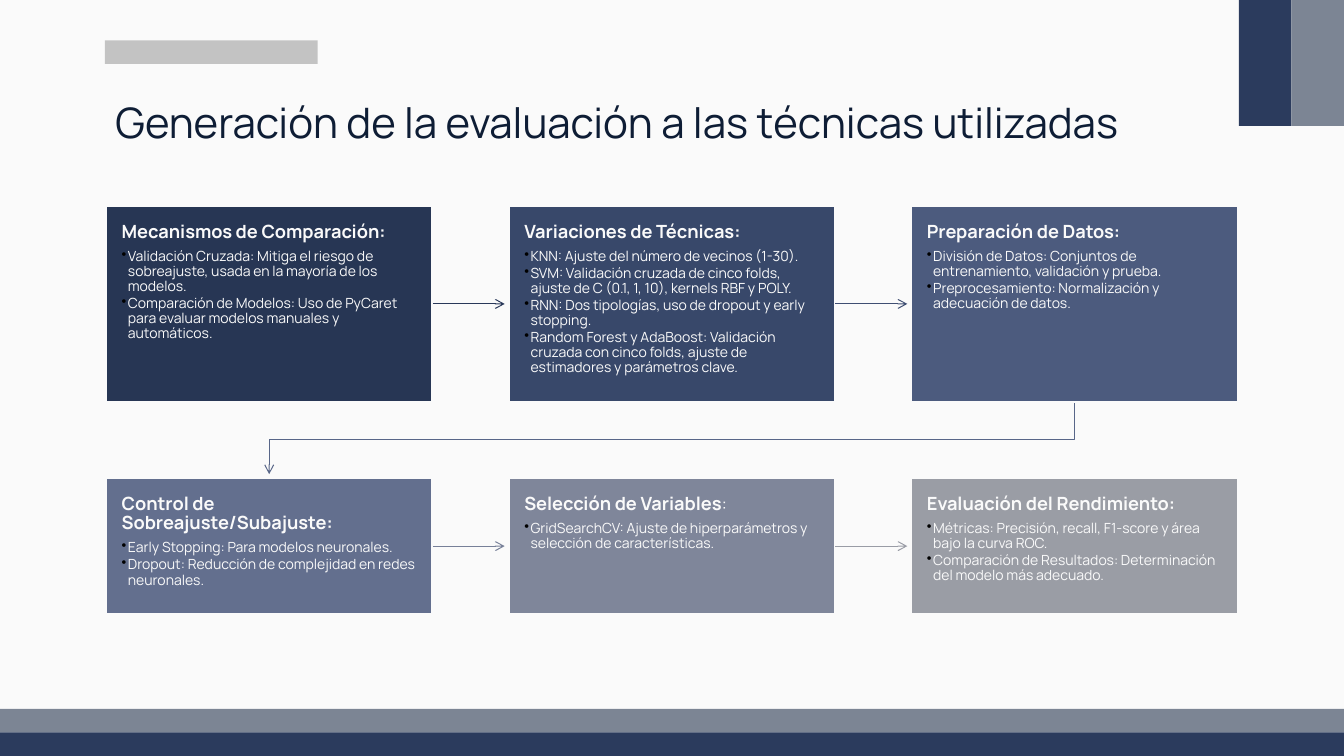
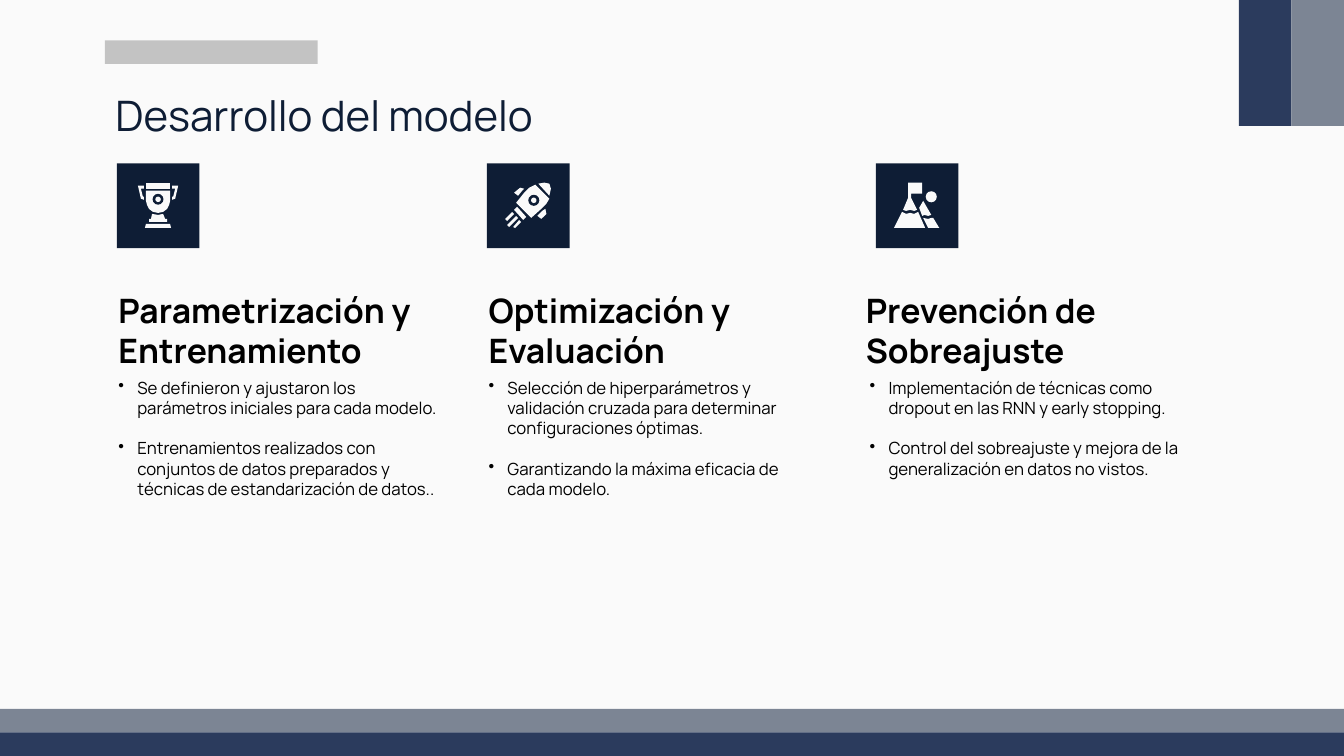
from pptx import Presentation
from pptx.dml.color import RGBColor
from pptx.enum.shapes import MSO_CONNECTOR, MSO_SHAPE
from pptx.enum.text import MSO_ANCHOR
from pptx.oxml.ns import qn
from pptx.util import Pt
from lxml.etree import SubElement

FONT = "Manrope"
NAVY, BLUE, STEEL = "0E1D35", "2B3B5D", "7C8594"
SILVER, PAPER, BLACK = "C3C3C3", "FAFAFA", "000000"
WIDE, HIGH = 960, 540
LEFT = 75.4
UNIT = 0.72  # points per icon grid step


def paint(part, color):
    """Give a fill, line or font its colour."""
    if hasattr(part, "solid"):
        part.solid()
        part.fore_color.rgb = RGBColor.from_string(color)
    else:
        part.color.rgb = RGBColor.from_string(color)


def block(slide, x, y, w, h, color, kind=MSO_SHAPE.RECTANGLE, edge=None):
    shape = slide.shapes.add_shape(kind, Pt(x), Pt(y), Pt(w), Pt(h))
    shape.shadow.inherit = False
    paint(shape.fill, color)
    if edge:
        paint(shape.line, edge)
        shape.line.width = Pt(2)
    else:
        shape.line.fill.background()
    return shape


def setup(frame, side, top, anchor=MSO_ANCHOR.TOP):
    """Set the insets, wrap and anchor of a text frame."""
    frame.word_wrap = True
    frame.margin_left = frame.margin_right = Pt(side)
    frame.margin_top = frame.margin_bottom = Pt(top)
    frame.vertical_anchor = anchor
    return frame


def panel(slide, x, y, w, h, inset, anchor=MSO_ANCHOR.TOP):
    box = slide.shapes.add_textbox(Pt(x), Pt(y), Pt(w), Pt(h))
    return setup(box.text_frame, inset, inset, anchor)


def write(frame, text, size=12, color=BLACK, bold=False, thin="",
          lead=None, after=0, hang=0):
    """Add a paragraph; hang sets a bullet with that indent."""
    first = frame.paragraphs[0]
    par = frame.add_paragraph() if first.runs else first
    par.alignment = 1
    par.space_after = Pt(after)
    if lead:
        par.line_spacing = lead
    for words, heavy in ((text, bold), (thin, False)):
        if words:
            run = par.add_run()
            run.text = words
            run.font.name, run.font.size = FONT, Pt(size)
            run.font.bold = heavy
            paint(run.font, color)
    if hang:
        props = par._p.get_or_add_pPr()
        props.set("marL", str(Pt(hang)))
        props.set("indent", str(-Pt(hang)))
        tint = SubElement(props, qn("a:buClr"))
        SubElement(tint, qn("a:srgbClr"), val=BLACK)
        SubElement(props, qn("a:buChar"), char="•")


def outline(slide, points, closed=True):
    start, *rest = [(Pt(x), Pt(y)) for x, y in points]
    draft = slide.shapes.build_freeform(*start)
    draft.add_line_segments(rest, close=closed)
    shape = draft.convert_to_shape()
    shape.shadow.inherit = False
    return shape


def arrow(line, color):
    """Style a line with an open arrowhead at its end."""
    paint(line, color)
    line.width = Pt(0.75)
    SubElement(line._get_or_add_ln(), qn("a:tailEnd"), type="arrow")


# Shared frame: background, bands, corner, title
def base(deck, title, anchor):
    slide = deck.slides.add_slide(deck.slide_layouts[6])
    paint(slide.background.fill, PAPER)
    block(slide, 75, 28.8, 152, 16.8, SILVER)
    for row, color in enumerate((STEEL, BLUE)):
        block(slide, 0, HIGH - 33.6 + 16.8 * row, WIDE, 16.8, color)
    for col, color in enumerate((BLUE, STEEL)):
        block(slide, WIDE - 75 + 37.5 * col, 0, 37.5, 90, color)
    frame = panel(slide, LEFT, 57, 809, 60.5, 7.2, anchor)
    write(frame, title, size=30, color=NAVY)
    return slide


# Slide 1: flow of six steps
STEPS = [
    ("273654", "Mecanismos de Comparación:", "", [
        "Validación Cruzada: Mitiga el riesgo de sobreajuste, usada en la "
        "mayoría de los modelos.",
        "Comparación de Modelos: Uso de PyCaret para evaluar modelos "
        "manuales y automáticos."]),
    ("38486A", "Variaciones de Técnicas:", "", [
        "KNN: Ajuste del número de vecinos (1-30).",
        "SVM: Validación cruzada de cinco folds, ajuste de C (0.1, 1, 10), "
        "kernels RBF y POLY.",
        "RNN: Dos tipologías, uso de dropout y early stopping.",
        "Random Forest y AdaBoost: Validación cruzada con cinco folds, "
        "ajuste de estimadores y parámetros clave."]),
    ("4C5B7E", "Preparación de Datos:", "", [
        "División de Datos: Conjuntos de entrenamiento, validación y "
        "prueba.",
        "Preprocesamiento: Normalización y adecuación de datos."]),
    ("636F8E", "Control de Sobreajuste/Subajuste:", "", [
        "Early Stopping: Para modelos neuronales.",
        "Dropout: Reducción de complejidad en redes neuronales."]),
    ("7F869A", "Selección de Variables", ":", [
        "GridSearchCV: Ajuste de hiperparámetros y selección de "
        "características."]),
    ("9A9DA5", "Evaluación del Rendimiento:", "", [
        "Métricas: Precisión, recall, F1-score y área bajo la curva ROC.",
        "Comparación de Resultados: Determinación del modelo más "
        "adecuado."]),
]
LINKS = ["293859", "3F4E72", "586688", "778098", "999CA5"]


def step(slide, x, y, w, h, color, head, thin, items):
    shape = block(slide, x, y, w, h, color, edge=PAPER)
    frame = setup(shape.text_frame, 11.5, 12)
    write(frame, head, size=13, color=PAPER, bold=True, thin=thin,
          lead=0.9, after=5)
    for item in items:
        write(frame, item, size=10, color=PAPER, lead=0.9, after=1.3,
              hang=4.5)
    return shape


def link(slide, box, x, y, color):
    """Join the right side of a box to a point."""
    wire = slide.shapes.add_connector(
        MSO_CONNECTOR.STRAIGHT, Pt(x), Pt(y), Pt(x), Pt(y))
    wire.begin_connect(box, 3)
    wire.end_x, wire.end_y = Pt(x), Pt(y)
    SubElement(wire._element.spPr, qn("a:effectLst"))
    arrow(wire.line, color)


def flow(slide, x, y):
    wide, pitch, gap = 233.8, 287.6, 2.5
    rows = [(y, 140.2), (y + 194.2, 97.8)]
    for num, data in enumerate(STEPS):
        row, col = divmod(num, 3)
        top, high = rows[row]
        left = x + pitch * col
        box = step(slide, left, top, wide, high, *data)
        if col < 2:
            link(slide, box, left + pitch - gap, top + high / 2, LINKS[num])
    # Bent link from the end of row one to the start of row two
    foot, goal = rows[0][0] + rows[0][1], rows[1][0] - gap
    near = x + wide / 2
    far = near + 2 * pitch
    turn = foot + 27
    bend = outline(slide, [(far, foot + 1), (far, turn), (near, turn),
                           (near, goal)], closed=False)
    bend.fill.background()
    arrow(bend.line, LINKS[2])


# Slide 2: three columns with icons; outlines and rings on a tile grid
HANDLE = [(61, 22), (55, 22), (55, 25), (58, 25), (56, 33), (55, 33),
          (55, 36), (58, 35)]
TROPHY = [
    [(35, 50), (34, 55), (32, 55), (32, 58), (50, 58), (50, 55), (48, 55),
     (46, 50), (41, 51)],
    [(29, 60), (28, 64), (54, 64), (53, 60)],
    [(29, 27), (29, 37), (30, 41), (32, 45), (36, 48), (41, 49), (46, 48),
     (50, 45), (52, 41), (53, 37), (53, 27)],
    [(29, 19), (29, 25), (53, 25), (53, 19)],
    HANDLE, [(82 - x, y) for x, y in HANDLE],
], [(41, 35.5, 5.4, NAVY), (41, 35.5, 2.7, PAPER)]
ROCKET = [
    [(30, 43), (27, 46), (36, 56), (39, 53)],
    [(33, 24), (27, 29), (31, 32), (35, 27), (37, 25)],
    [(58, 45), (55, 47), (50, 52), (54, 55), (59, 50)],
    [(25, 48), (18, 55), (20, 57), (27, 50)],
    [(29, 52), (20, 61), (22, 63), (31, 54)],
    [(32, 56), (26, 63), (28, 64), (34, 58)],
    [(57, 19), (51, 20), (62, 32), (63.5, 25), (62, 20)],
    [(48, 21), (42, 24), (37, 29), (29, 39), (44, 54), (54, 45), (59, 40),
     (62, 35)],
], [(46.5, 36.5, 5.5, NAVY), (46.5, 36.5, 2.7, PAPER)]
PEAK = [
    [(42, 48), (38, 50), (34, 49), (30, 50), (26, 48), (18, 64), (49, 64)],
    [(32, 19), (32, 34), (27, 46), (30, 47), (34, 46), (38, 47), (41, 46),
     (35, 34), (35, 30), (46, 30), (46, 19)],
    [(47, 37), (43, 44), (46, 52), (48, 51), (52, 52), (55, 51)],
    [(55, 54), (52, 55), (47, 54), (52, 64), (63, 64), (57, 54)],
], [(55, 33, 5.5, PAPER)]

# Left edge, icon shift, list shift, icon, heading, items
TOPICS = [
    (LEFT, 8, 0, TROPHY, "Parametrización y Entrenamiento", [
        "Se definieron y ajustaron los parámetros iniciales para cada "
        "modelo.",
        "Entrenamientos realizados con conjuntos de datos preparados y "
        "técnicas de estandarización de datos.."]),
    (339.8, 8, 0, ROCKET, "Optimización y Evaluación", [
        "Selección de hiperparámetros y validación cruzada para determinar "
        "configuraciones óptimas.",
        "Garantizando la máxima eficacia de cada modelo."]),
    (609.2, 16.4, 2.8, PEAK, "Prevención de Sobreajuste", [
        "Implementación de técnicas como dropout en las RNN y early "
        "stopping.",
        "Control del sobreajuste y mejora de la generalización en datos no "
        "vistos."]),
]


def icon(slide, x, y, art):
    block(slide, x, y, 82 * UNIT, 84 * UNIT, NAVY)
    forms, rings = art
    for form in forms:
        shape = outline(slide, [(x + a * UNIT, y + b * UNIT)
                                for a, b in form])
        paint(shape.fill, PAPER)
        shape.line.fill.background()
    for a, b, r, color in rings:
        block(slide, x + (a - r) * UNIT, y + (b - r) * UNIT,
              2 * r * UNIT, 2 * r * UNIT, color, MSO_SHAPE.OVAL)


def topic(slide, x, y, shift, nudge, art, head, items):
    icon(slide, x + shift, y, art)
    frame = panel(slide, x, y + 82.6, 264, 74.2, 9.2, MSO_ANCHOR.BOTTOM)
    write(frame, head, size=24, bold=True)
    frame = panel(slide, x + nudge, y + 143.8, 249, 190.8, 9.2)
    for item in items:
        write(frame, item, after=14.4, hang=13.5)


def main():
    deck = Presentation()
    deck.slide_width, deck.slide_height = Pt(WIDE), Pt(HIGH)
    slide = base(deck, "Generación de la evaluación a las técnicas utilizadas",
                 MSO_ANCHOR.MIDDLE)
    flow(slide, LEFT, 147)
    slide = base(deck, "Desarrollo del modelo", MSO_ANCHOR.TOP)
    for x, *rest in TOPICS:
        topic(slide, x, 116.8, *rest)
    deck.save("out.pptx")


if __name__ == "__main__":
    main()
